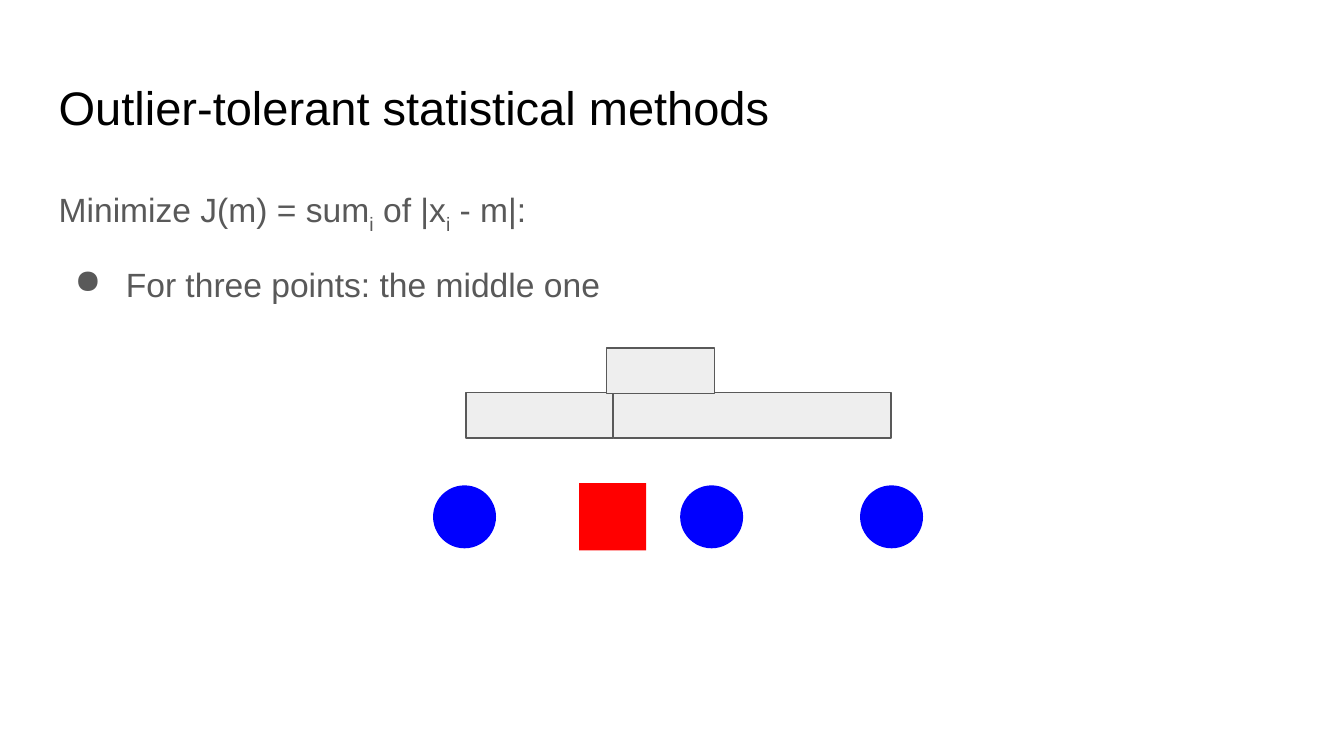
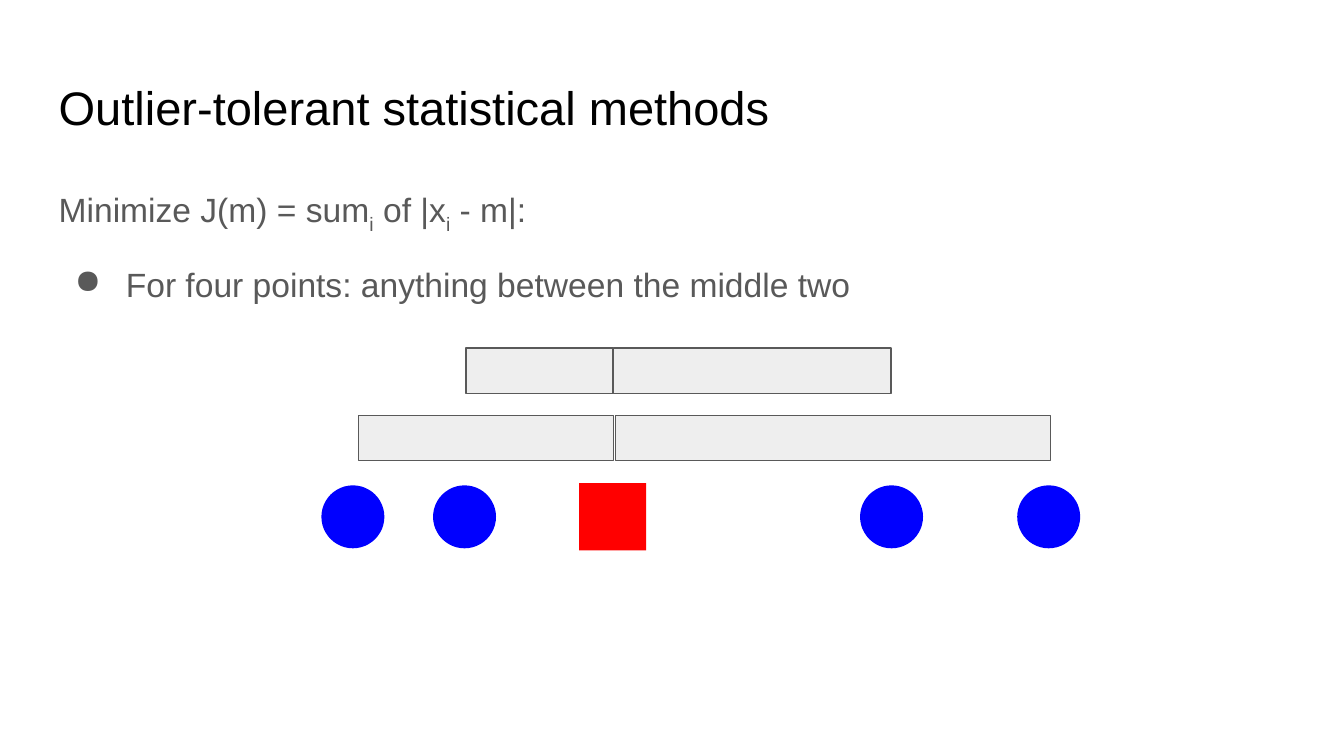
import lxml.etree
import pptx
import pptx.dml.color
import pptx.enum.shapes
import pptx.enum.text
import pptx.oxml.ns
import pptx.util

Cm = pptx.util.Cm
Pt = pptx.util.Pt
RGBColor = pptx.dml.color.RGBColor
Shape = pptx.enum.shapes.MSO_SHAPE

BLACK = RGBColor(0x00, 0x00, 0x00)
GREY = RGBColor(0x59, 0x59, 0x59)
PALE = RGBColor(0xEE, 0xEE, 0xEE)
BLUE = RGBColor(0x00, 0x00, 0xFF)
RED = RGBColor(0xFF, 0x00, 0x00)

TITLE = "Outlier-tolerant statistical methods"
# Each piece of the formula, and whether it is a subscript
OBJECTIVE = [("Minimize J(m) = sum", False), ("i", True), (" of |x", False),
             ("i", True), (" - m|:", False)]

AXIS_Y = 9.77
ESTIMATE_X = 11.58
UPPER_ROW, MIDDLE_ROW, LOWER_ROW = 6.58, 7.42, 7.85
INNER_LEFT = (8.81, 11.59)
INNER_RIGHT = (11.6, 16.84)

CASES = [
    {"claim": "For three points: the middle one",
     "points": [8.78, 13.45, 16.85],
     "distances": [(MIDDLE_ROW, INNER_LEFT), (MIDDLE_ROW, INNER_RIGHT),
                   (UPPER_ROW, (11.46, 13.51))]},
    {"claim": "For four points: anything between the middle two",
     "points": [6.67, 8.78, 16.85, 19.82],
     "distances": [(UPPER_ROW, INNER_LEFT), (UPPER_ROW, INNER_RIGHT),
                   (LOWER_ROW, (6.78, 11.6)), (LOWER_ROW, (11.63, 19.86))]},
]


class Deck:
    font = "Arial"
    left, width, inset = 0.86, 23.67, 0.25
    point_size, estimate_size, bar_height = 1.19, 1.27, 0.86

    def __init__(self):
        self.presentation = pptx.Presentation()
        self.presentation.slide_width = Cm(25.4)
        self.presentation.slide_height = Cm(14.29)
        self.slide = None

    def new_slide(self):
        blank = self.presentation.slide_layouts[6]
        self.slide = self.presentation.slides.add_slide(blank)

    def text_frame(self, top, height):
        box = self.slide.shapes.add_textbox(
            Cm(self.left), Cm(top), Cm(self.width), Cm(height))
        frame = box.text_frame
        frame.word_wrap = True
        frame.vertical_anchor = pptx.enum.text.MSO_ANCHOR.TOP
        frame.margin_left = frame.margin_right = Cm(self.inset)
        frame.margin_top = frame.margin_bottom = Cm(self.inset)
        return frame

    def run(self, paragraph, text, size, color, subscript=False):
        run = paragraph.add_run()
        run.text = text
        run.font.name = self.font
        run.font.size = Pt(size)
        run.font.color.rgb = color
        if subscript:
            run.font._element.set("baseline", "-25000")

    def bullet(self, paragraph):
        properties = paragraph._p.get_or_add_pPr()
        properties.set("marL", str(Cm(1.27)))
        properties.set("indent", str(Cm(-0.97)))
        qn = pptx.oxml.ns.qn
        color = lxml.etree.SubElement(properties, qn("a:buClr"))
        lxml.etree.SubElement(color, qn("a:srgbClr"), val=str(GREY))
        lxml.etree.SubElement(properties, qn("a:buChar"), char="●")

    def title(self, text):
        paragraph = self.text_frame(1.24, 1.6).paragraphs[0]
        self.run(paragraph, text, 25.2, BLACK)

    def body(self, objective, claim):
        frame = self.text_frame(3.2, 9.5)
        formula = frame.paragraphs[0]
        formula.line_spacing = 1.15
        for text, subscript in objective:
            self.run(formula, text, 18, GREY, subscript)
        answer = frame.add_paragraph()
        answer.line_spacing = 1.15
        answer.space_before = Pt(12)
        self.bullet(answer)
        self.run(answer, claim, 18, GREY)

    def shape(self, preset, left, top, width, height, fill, outline=None):
        shape = self.slide.shapes.add_shape(
            preset, Cm(left), Cm(top), Cm(width), Cm(height))
        shape.shadow.inherit = False
        shape.fill.solid()
        shape.fill.fore_color.rgb = fill
        if outline is None:
            shape.line.fill.background()
        else:
            shape.line.color.rgb = outline
            shape.line.width = Pt(0.75)

    def marker(self, preset, center, size, fill):
        """Centre a marker on the axis of data points."""
        self.shape(preset, center - size / 2, AXIS_Y - size / 2, size, size, fill)

    def point(self, center):
        self.marker(Shape.OVAL, center, self.point_size, BLUE)

    def estimate(self, center):
        self.marker(Shape.RECTANGLE, center, self.estimate_size, RED)

    def distance(self, top, start, end):
        self.shape(Shape.RECTANGLE, start, top, end - start, self.bar_height,
                   PALE, GREY)


def main():
    deck = Deck()
    for case in CASES:
        deck.new_slide()
        deck.title(TITLE)
        deck.body(OBJECTIVE, case["claim"])
        for center in case["points"]:
            deck.point(center)
        deck.estimate(ESTIMATE_X)
        for row, (start, end) in case["distances"]:
            deck.distance(row, start, end)
    deck.presentation.save("out.pptx")


if __name__ == "__main__":
    main()
